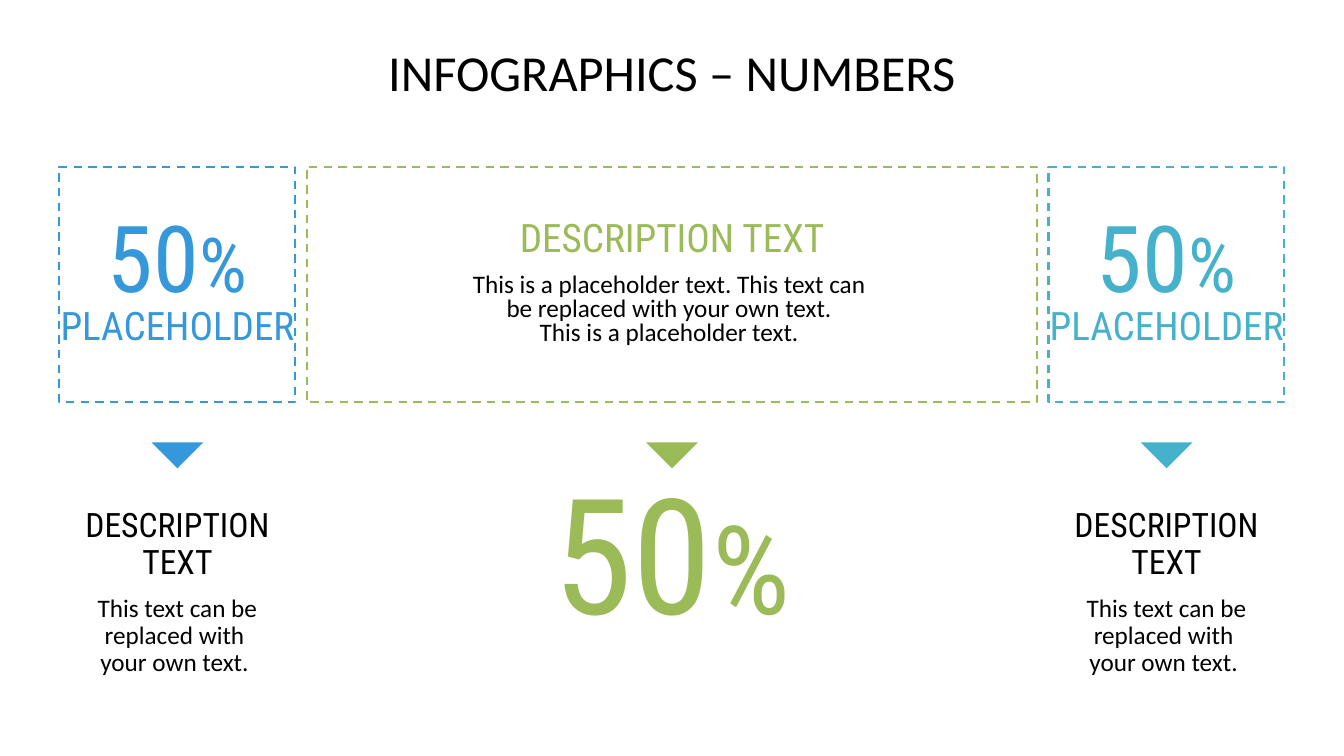
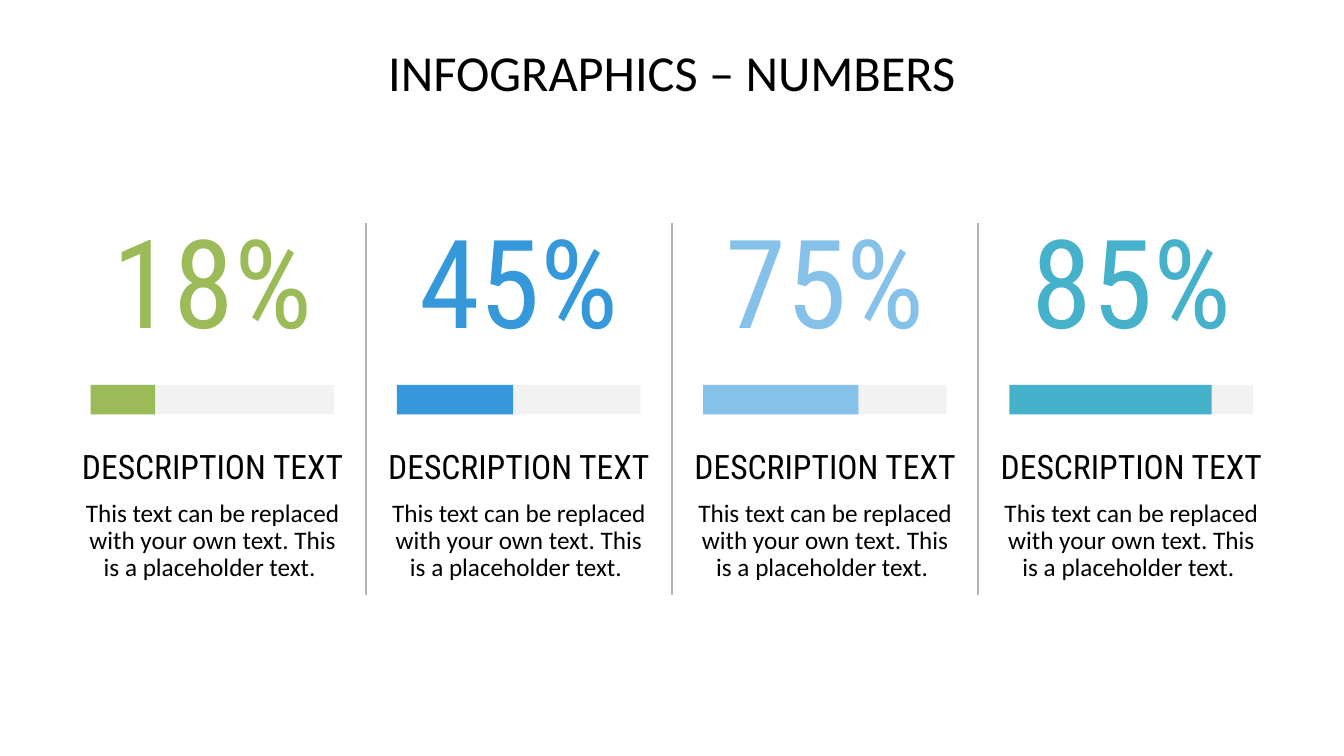
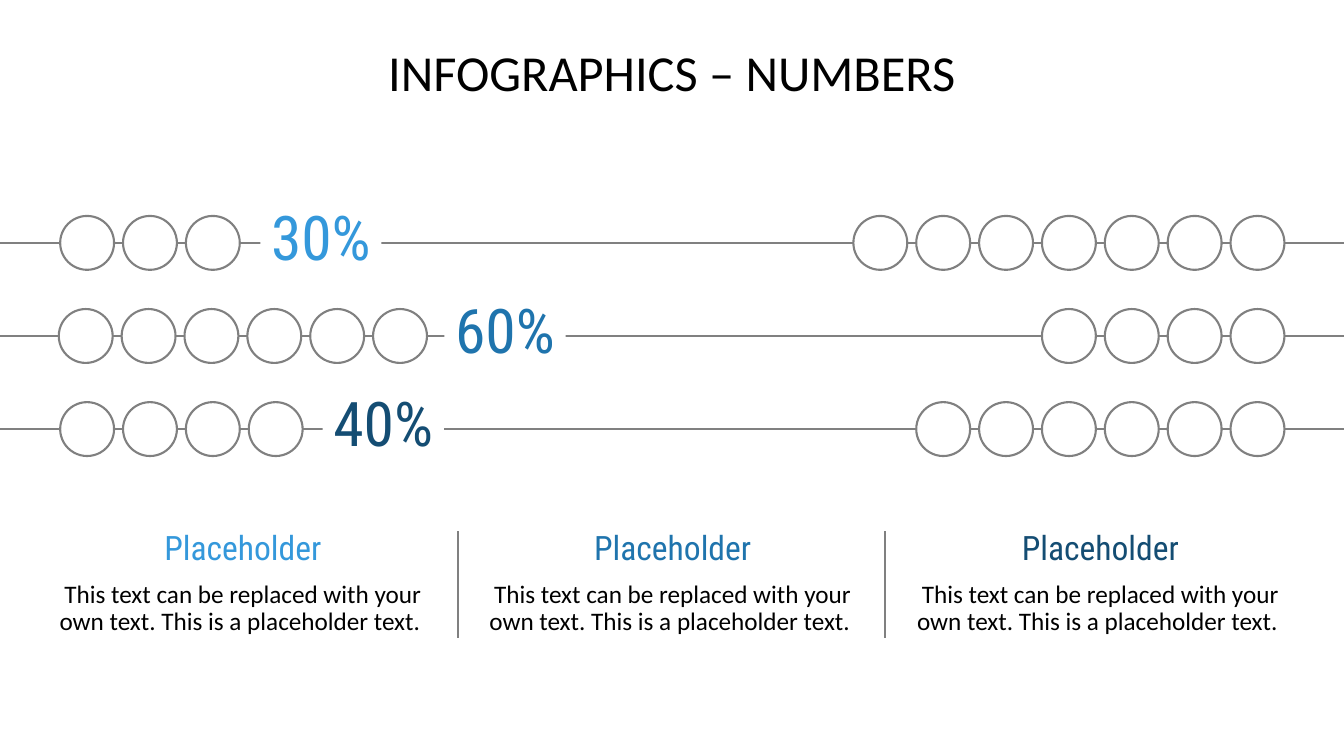
from lxml.etree import SubElement
from pptx import Presentation
from pptx.dml.color import RGBColor as RGB
from pptx.enum.dml import MSO_LINE
from pptx.enum.shapes import MSO_CONNECTOR, MSO_SHAPE as Kind
from pptx.enum.text import MSO_ANCHOR as Anchor, MSO_AUTO_SIZE as Auto, PP_ALIGN as Align
from pptx.oxml.ns import qn
from pptx.util import Pt


class Theme:
    head, body = "Roboto Condensed", "Calibri"
    black, white, pale = "000000", "FFFFFF", "F2F2F2"
    gray, silver = "808080", "B2B2B2"
    blue, green, teal, sky = "3498DB", "9BBB59", "45B1CB", "85C1E9"
    mid, navy = "1F74AD", "144D73"
    title, label, sub, text = 36, 28, 24, 18
    huge, big, large, count, small = 115, 88, 66, 44, 54
    line = 1.5


def draw(slide, kind, box, fill=None, edge=None, dash=None):
    """Add a shape, or a straight line if kind is None; box is x, y, w, h."""
    x, y, w, h = box
    if kind is None:
        shape = slide.shapes.add_connector(
            MSO_CONNECTOR.STRAIGHT, Pt(x), Pt(y), Pt(x + w), Pt(y + h))
    else:
        shape = slide.shapes.add_shape(kind, Pt(x), Pt(y), Pt(w), Pt(h))
        shape.shadow.inherit = False
        shape.fill.solid()
        shape.fill.fore_color.rgb = RGB.from_string(fill)
    if edge:
        shape.line.color.rgb = RGB.from_string(edge)
        shape.line.width = Pt(Theme.line)
        shape.line.dash_style = dash
    else:
        shape.line.fill.background()
    if kind is None:
        SubElement(shape._element.spPr, qn("a:effectLst"))
    return shape


def write(frame, paras, space=0.9, anchor=Anchor.TOP, pad=0, after=10):
    """Fill a frame; a paragraph is text, font, size, colour and further (text, size) runs."""
    frame.text = "\n".join(para[0] for para in paras)
    frame.word_wrap, frame.auto_size = True, Auto.NONE
    frame.vertical_anchor = anchor
    frame.margin_left = frame.margin_right = Pt(pad)
    frame.margin_top = frame.margin_bottom = 0
    for para, (_, font, size, color, *tail) in zip(frame.paragraphs, paras):
        para.alignment, para.line_spacing = Align.CENTER, space
        para.space_before, para.space_after = Pt(0), Pt(after)
        sizes = [size] * len(para.runs)
        for word, small in tail:
            if word == "\n":
                para.add_line_break()
            else:
                para.add_run().text = word
                sizes.append(small)
        for run, points in zip(para.runs, sizes):
            run.font.name, run.font.size = font, Pt(points)
            run.font.color.rgb = RGB.from_string(color)


deck = Presentation()
deck.slide_width, deck.slide_height = Pt(960), Pt(540)
left, wide = 42.5, 875

# Shared title
plan = deck.slide_layouts[5]
name = plan.placeholders[0]
name.left, name.top, name.width, name.height = Pt(left), Pt(34), Pt(wide), Pt(85)
pages = [deck.slides.add_slide(plan) for _ in range(3)]
for page in pages:
    write(page.shapes.title.text_frame,
          [("INFOGRAPHICS – NUMBERS", Theme.body, Theme.title, Theme.black)], after=0)
cards, bars, beads = pages

# Slide 1: outer cards with a number above and a description below
side, gap, top = 168.5, 8, 119
for x, color in ((left, Theme.blue), (left + wide - side, Theme.teal)):
    card = draw(cards, Kind.RECTANGLE, (x, top, side, side), Theme.white, color, MSO_LINE.DASH)
    write(card.text_frame,
          [("50", Theme.head, Theme.large, color, ("%", Theme.small), ("\n", 0),
            ("PLACEHOLDER", Theme.label))], 0.8, Anchor.MIDDLE)
    note = cards.shapes.add_textbox(Pt(x), Pt(363.5), Pt(side), Pt(94.5))
    write(note.text_frame,
          [("DESCRIPTION TEXT", Theme.head, Theme.sub, Theme.black),
           ("This text can be replaced with \vyour own text. ", Theme.body, Theme.text,
            Theme.black)], pad=14.4)

# Slide 1: middle card and its number
inner = side + gap
card = draw(cards, Kind.RECTANGLE, (left + inner, top, wide - 2 * inner, side),
            Theme.white, Theme.green, MSO_LINE.DASH)
write(card.text_frame,
      [("DESCRIPTION TEXT", Theme.head, Theme.label, Theme.green),
       ("This is a placeholder text. This text can \vbe replaced with your own text. \v"
        "This is a placeholder text. ", Theme.body, Theme.text, Theme.black)],
      0.8, Anchor.MIDDLE)
total = cards.shapes.add_textbox(Pt(338.5), Pt(354), Pt(283), Pt(104))
write(total.text_frame, [("50", Theme.head, Theme.huge, Theme.green, ("%", Theme.big))],
      0.8, Anchor.MIDDLE)

# Slide 1: pointers
half = (wide - side) / 2
for i, color in enumerate((Theme.blue, Theme.green, Theme.teal)):
    mark = draw(cards, Kind.ISOSCELES_TRIANGLE,
                (left + side / 2 + i * half - 18.5, 316, 37, 18.5), color)
    mark.rotation = 180

# Slide 2: four columns with a progress bar each
step = wide / 4
stats = (("18%", 46, Theme.green), ("45%", 83, Theme.blue),
         ("75%", 111, Theme.sky), ("85%", 144.5, Theme.teal))
for i, (value, done, color) in enumerate(stats):
    x = left + i * step
    total = bars.shapes.add_textbox(Pt(x), Pt(142), Pt(step), Pt(134))
    write(total.text_frame, [(value, Theme.head, Theme.big, color)], 0.8, Anchor.MIDDLE)
    for width, fill in ((174, Theme.pale), (done, color)):
        draw(bars, Kind.RECTANGLE, (x + 22.25, 275, width, 21), fill)
    note = bars.shapes.add_textbox(Pt(x), Pt(321), Pt(step), Pt(95))
    write(note.text_frame,
          [("DESCRIPTION TEXT", Theme.head, Theme.sub, Theme.black),
           ("This text can be replaced with your own text. This is a placeholder text. ",
            Theme.body, Theme.text, Theme.black)], anchor=Anchor.BOTTOM, pad=14.4)
    if i:
        draw(bars, None, (x, 159, 0, 266), edge=Theme.silver)

# Slide 3: abacus rows, with a text for each row below
ball, pitch, last = 38.5, 44.9, 879
rows = ((3, 43, 186, 42, Theme.blue), (6, 42, 317.5, 349, Theme.mid),
        (4, 43, 230.5, 654.5, Theme.navy))
for i, (count, first, tag, x, color) in enumerate(rows):
    y = 173.5 + i * 66.5
    draw(beads, None, (0, y, 960, 0), edge=Theme.gray)
    spots = [first + n * pitch for n in range(count)]
    spots += [last - n * pitch for n in range(10 - count)]
    for spot in spots:
        draw(beads, Kind.OVAL, (spot, y - ball / 2, ball, ball), Theme.white, Theme.gray)
    label = draw(beads, Kind.RECTANGLE, (tag, y - ball / 2, 86.5, ball), Theme.white)
    write(label.text_frame, [(f"{count * 10}%", Theme.head, Theme.count, color)],
          0.8, Anchor.MIDDLE)
    note = beads.shapes.add_textbox(Pt(x), Pt(379.5), Pt(263), Pt(90))
    write(note.text_frame,
          [("Placeholder", Theme.head, Theme.sub, color),
           ("This text can be replaced with your own text. This is a placeholder text. ",
            Theme.body, Theme.text, Theme.black)])

# Slide 3: dividers
for x in (327, 632):
    draw(beads, None, (x, 379.5, 0, 76), edge=Theme.gray)

deck.save("out.pptx")
